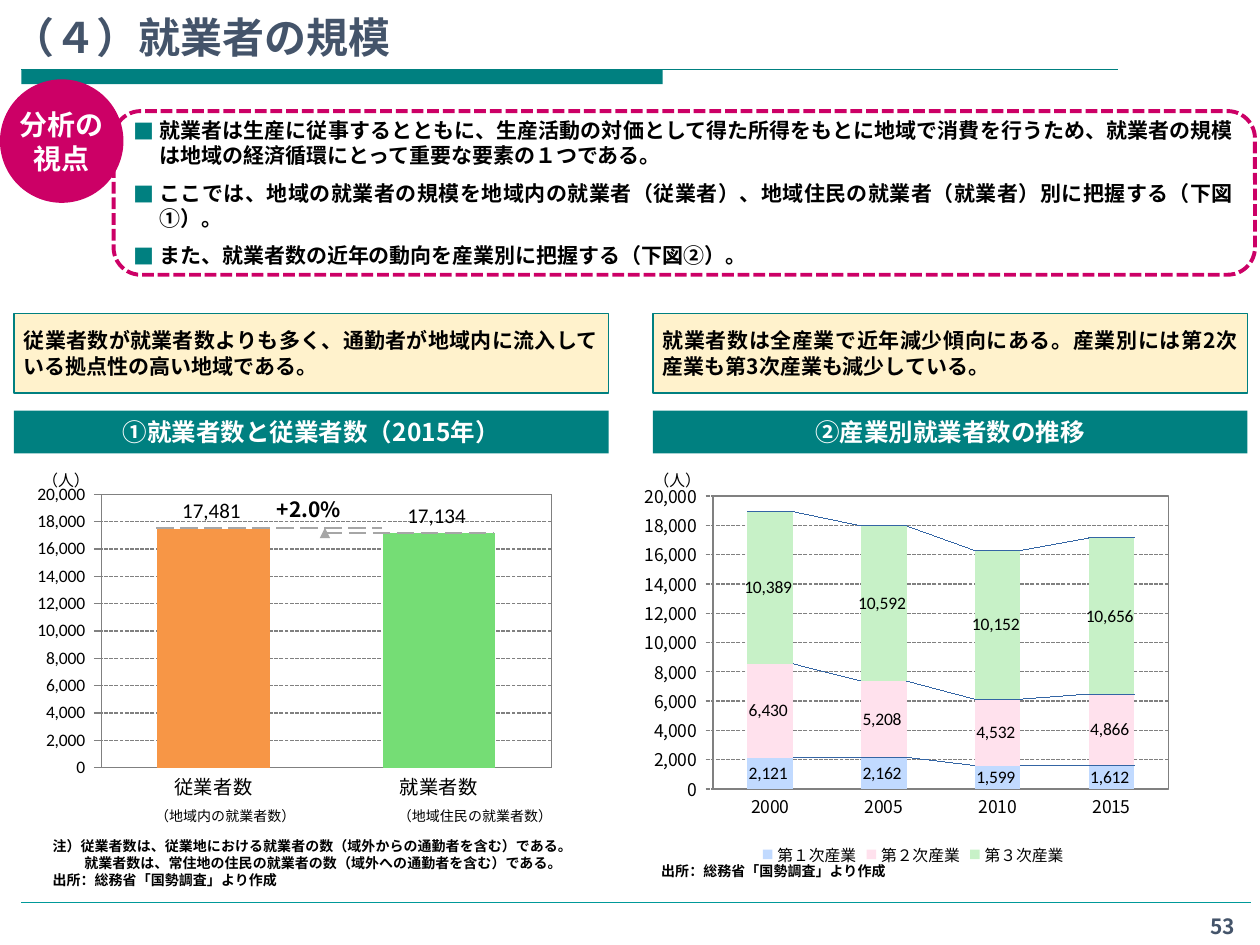
from dataclasses import dataclass
from typing import NamedTuple, Optional

from lxml.etree import SubElement, fromstring
from pptx import Presentation
from pptx.chart.data import CategoryChartData
from pptx.dml.color import RGBColor
from pptx.enum.chart import XL_CHART_TYPE, XL_LABEL_POSITION, XL_LEGEND_POSITION, XL_TICK_MARK
from pptx.enum.dml import MSO_LINE
from pptx.enum.shapes import MSO_CONNECTOR, MSO_SHAPE
from pptx.enum.text import MSO_ANCHOR, PP_ALIGN
from pptx.oxml.ns import nsdecls, qn
from pptx.util import Cm, Pt


@dataclass(frozen=True)
class Theme:
    font: str = "Noto Sans CJK JP"
    digits: str = "Calibri"
    teal: str = "008080"
    footer: str = "009999"
    magenta: str = "CC0066"
    cream: str = "FFF2CC"
    heading: str = "44546A"
    ink: str = "000000"
    white: str = "FFFFFF"
    axis: str = "808080"
    guide: str = "A6A6A6"
    link: str = "3465A4"
    title: float = 24
    badge: float = 16
    panel: float = 14
    body: float = 12
    category: float = 11
    chart: float = 10
    unit: float = 9
    note: float = 8


THEME = Theme()
NUMBER = r"#,##0_);\(#,##0\)"


class Box(NamedTuple):
    left: float
    top: float
    width: float
    height: float

    def cm(self):
        return [Cm(length) for length in self]


class Style(NamedTuple):
    size: float
    color: str = THEME.ink
    bold: bool = True
    align: PP_ALIGN = PP_ALIGN.LEFT
    anchor: MSO_ANCHOR = MSO_ANCHOR.TOP


class Panel(NamedTuple):
    left: float
    comment: str
    heading: str


class Series(NamedTuple):
    name: str
    values: tuple
    color: str


def rgb(color: str) -> RGBColor:
    return RGBColor.from_string(color)


def set_font(font, size: float, color: str = THEME.ink, bold: bool = False, name: str = THEME.font):
    font.size, font.bold, font.name = Pt(size), bold, name
    font.color.rgb = rgb(color)
    SubElement(font._element, qn("a:ea"), typeface=THEME.font)


def set_line(line, color: str, width: float, dash: Optional[MSO_LINE] = None):
    line.color.rgb = rgb(color)
    line.width = Pt(width)
    if dash:
        line.dash_style = dash


def write(shape, lines: list, style: Style, margin_x: float = 0.25) -> list:
    """Fill the shape with one paragraph per line and return the paragraphs."""
    frame = shape.text_frame
    frame.word_wrap = True
    frame.vertical_anchor = style.anchor
    frame.margin_left = frame.margin_right = Cm(margin_x)
    paragraphs = [frame.paragraphs[0]] + [frame.add_paragraph() for _ in lines[1:]]
    for paragraph, line in zip(paragraphs, lines):
        paragraph.alignment = style.align
        run = paragraph.add_run()
        run.text = line
        set_font(run.font, style.size, style.color, style.bold)
    return paragraphs


def add_label(slide, box: Box, lines: list, style: Style) -> list:
    return write(slide.shapes.add_textbox(*box.cm()), lines, style)


def add_block(slide, kind: MSO_SHAPE, box: Box, fill: Optional[str] = None):
    block = slide.shapes.add_shape(kind, *box.cm())
    block.shadow.inherit = False
    block.line.fill.background()
    if fill:
        block.fill.solid()
        block.fill.fore_color.rgb = rgb(fill)
    else:
        block.fill.background()
    return block


def add_rule(slide, x1, y1, x2, y2, color: str, width: float = 0.75, dash=None, arrow: bool = False):
    rule = slide.shapes.add_connector(MSO_CONNECTOR.STRAIGHT, Cm(x1), Cm(y1), Cm(x2), Cm(y2))
    set_line(rule.line, color, width, dash)
    if arrow:
        SubElement(rule.line._get_or_add_ln(), qn("a:tailEnd"), type="triangle")
    SubElement(rule._element.spPr, qn("a:effectLst"))


def add_bullet(paragraph):
    properties = paragraph._p.get_or_add_pPr()
    properties.set("marL", str(Cm(0.51)))
    properties.set("indent", str(-Cm(0.51)))
    SubElement(SubElement(properties, qn("a:buClr")), qn("a:srgbClr"), val=THEME.teal)
    SubElement(properties, qn("a:buFont"), typeface=THEME.font)
    SubElement(properties, qn("a:buChar"), char="■")


def set_layout(parent, index: int, **settings):
    """Give a chart part a manual layout, placed as its child at index."""
    for old in parent.findall(qn("c:layout")):
        parent.remove(old)
    layout = fromstring(f'<c:layout {nsdecls("c")}><c:manualLayout/></c:layout>')
    for tag, value in settings.items():
        SubElement(layout[0], qn(f"c:{tag}"), val=str(value))
    parent.insert(index, layout)


def line_xml(tag: str, color: str) -> str:
    return (f'<{tag} {nsdecls("c", "a")}><a:ln w="9525"><a:solidFill><a:srgbClr val="{color}"/>'
            f'</a:solidFill></a:ln></{tag}>')


def add_columns(slide, box: Box, kind: XL_CHART_TYPE, categories: list, series: list,
                gap: int, category_size: float, label_size: float, scale_font: str, scale_dash=None):
    data = CategoryChartData(number_format=NUMBER)
    data.categories = categories
    for entry in series:
        data.add_series(entry.name, entry.values)
    chart = slide.shapes.add_chart(kind, *box.cm(), data).chart
    chart.has_title = chart.has_legend = False
    set_font(chart.font, THEME.chart, name=THEME.digits)

    plot = chart.plots[0]
    plot.gap_width, plot.vary_by_categories = gap, False
    for entry, drawn in zip(series, plot.series):
        drawn.format.fill.solid()
        drawn.format.fill.fore_color.rgb = rgb(entry.color)
        labels = drawn.data_labels
        labels.show_value = True
        labels.number_format, labels.number_format_is_linked = NUMBER, False
        set_font(labels.font, label_size, name=THEME.digits)

    names, scale = chart.category_axis, chart.value_axis
    names.major_tick_mark = names.minor_tick_mark = scale.minor_tick_mark = XL_TICK_MARK.NONE
    scale.major_tick_mark = XL_TICK_MARK.OUTSIDE
    scale.minimum_scale, scale.maximum_scale, scale.major_unit = 0, 20000, 2000
    scale.tick_labels.number_format, scale.tick_labels.number_format_is_linked = NUMBER, False
    set_font(names.tick_labels.font, category_size)
    set_font(scale.tick_labels.font, THEME.chart, name=scale_font)
    set_line(names.format.line, THEME.axis, 0.75)
    set_line(scale.format.line, THEME.axis, 0.75, scale_dash)
    set_line(scale.major_gridlines.format.line, THEME.axis, 0.75, MSO_LINE.SQUARE_DOT)

    unit = scale.axis_title.text_frame
    unit_run = unit.paragraphs[0].add_run()
    unit_run.text = "（人）"
    set_font(unit_run.font, THEME.unit)
    unit._txBody.bodyPr.set("rot", "0")
    unit._txBody.bodyPr.set("vert", "horz")
    set_layout(scale.axis_title._element, 1, xMode="edge", yMode="edge", x=0.02, y=0.02)

    area = chart._chartSpace.chart.plotArea
    set_layout(area, 0, layoutTarget="inner", xMode="edge", yMode="edge", x=0.134, y=0.099, w=0.833, h=0.705)
    area.append(fromstring(line_xml("c:spPr", THEME.axis)))
    return chart


def add_workers_chart(slide):
    chart = add_columns(slide, Box(0.58, 9.19, 10.9, 7.82), XL_CHART_TYPE.COLUMN_CLUSTERED,
                        ["従業者数", "就業者数"], [Series("Series 1", (17481, 17134), "4F81BD")],
                        100, THEME.category, THEME.body, THEME.digits)
    workers = chart.plots[0].series[0]
    workers.data_labels.position = XL_LABEL_POSITION.OUTSIDE_END
    for index, color in enumerate(("F79646", "75DD75")):
        fill = workers.points[index].format.fill
        fill.solid()
        fill.fore_color.rgb = rgb(color)


def add_industry_chart(slide):
    industries = [Series("第１次産業", (2121, 2162, 1599, 1612), "C1DAFF"),
                  Series("第２次産業", (6430, 5208, 4532, 4866), "FFE1ED"),
                  Series("第３次産業", (10389, 10592, 10152, 10656), "C7F1C7")]
    chart = add_columns(slide, Box(12.9, 9.17, 11.02, 8.38), XL_CHART_TYPE.COLUMN_STACKED,
                        ["2000", "2005", "2010", "2015"], industries,
                        150, THEME.chart, THEME.chart, THEME.font, MSO_LINE.SQUARE_DOT)
    chart.plots[0].overlap = 100
    chart.has_legend = True
    chart.legend.position, chart.legend.include_in_layout = XL_LEGEND_POSITION.BOTTOM, False
    set_font(chart.legend.font, THEME.unit)
    series_lines = fromstring(f'<c:serLines {nsdecls("c")}/>')
    series_lines.append(fromstring(line_xml("c:spPr", THEME.link)))
    chart.plots[0]._element.find(qn("c:axId")).addprevious(series_lines)


def add_viewpoint(slide):
    frame = add_block(slide, MSO_SHAPE.ROUNDED_RECTANGLE, Box(2.29, 2.24, 23.01, 3.3))
    set_line(frame.line, THEME.magenta, 2.25, MSO_LINE.SQUARE_DOT)
    points = write(frame, [
        "就業者は生産に従事するとともに、生産活動の対価として得た所得をもとに地域で消費を行うため、就業者の規模は地域の経済循環にとって重要な要素の１つである。",
        "ここでは、地域の就業者の規模を地域内の就業者（従業者）、地域住民の就業者（就業者）別に把握する（下図①）。",
        "また、就業者数の近年の動向を産業別に把握する（下図②）。",
    ], Style(THEME.body, align=PP_ALIGN.JUSTIFY, anchor=MSO_ANCHOR.MIDDLE))
    for index, point in enumerate(points):
        add_bullet(point)
        point.space_before, point.space_after = Pt(3 if index else 0), Pt(4)
    badge = add_block(slide, MSO_SHAPE.OVAL, Box(0, 1.6, 2.49, 2.49), THEME.magenta)
    write(badge, ["分析の", "視点"],
          Style(THEME.badge, THEME.white, align=PP_ALIGN.CENTER, anchor=MSO_ANCHOR.MIDDLE), 0.1)
    badge.text_frame.word_wrap = False


def add_panel(slide, panel: Panel):
    comment = add_block(slide, MSO_SHAPE.RECTANGLE, Box(panel.left, 6.32, 11.99, 1.6), THEME.cream)
    set_line(comment.line, THEME.teal, 1)
    write(comment, [panel.comment], Style(THEME.body, align=PP_ALIGN.JUSTIFY, anchor=MSO_ANCHOR.MIDDLE), 0.2)
    heading = add_block(slide, MSO_SHAPE.RECTANGLE, Box(panel.left, 8.28, 11.99, 0.86), THEME.teal)
    write(heading, [panel.heading], Style(THEME.panel, THEME.white, align=PP_ALIGN.CENTER))


def main():
    deck = Presentation()
    deck.slide_width, deck.slide_height = Cm(25.4), Cm(19.05)
    slide = deck.slides.add_slide(deck.slide_layouts[6])

    add_block(slide, MSO_SHAPE.RECTANGLE, Box(0.43, 1.4, 12.93, 0.3), THEME.teal)
    add_rule(slide, 0.43, 1.4, 22.53, 1.4, THEME.teal)
    add_rule(slide, 0.43, 18.19, 25.22, 18.19, THEME.footer)
    add_label(slide, Box(0, 0, 22.07, 1.37), ["（４）就業者の規模"],
              Style(THEME.title, THEME.heading, anchor=MSO_ANCHOR.BOTTOM))

    add_industry_chart(slide)
    add_workers_chart(slide)
    for panel in (
        Panel(0.28, "従業者数が就業者数よりも多く、通勤者が地域内に流入している拠点性の高い地域である。",
              "①就業者数と従業者数（2015年）"),
        Panel(13.16, "就業者数は全産業で近年減少傾向にある。産業別には第2次産業も第3次産業も減少している。",
              "②産業別就業者数の推移"),
    ):
        add_panel(slide, panel)

    source = "出所：総務省「国勢調査」より作成"
    notes = add_label(slide, Box(0.81, 16.76, 11.51, 1.27), [
        "注）従業者数は、従業地における就業者の数（域外からの通勤者を含む）である。",
        "就業者数は、常住地の住民の就業者の数（域外への通勤者を含む）である。",
        source,
    ], Style(THEME.note))
    notes[1]._p.get_or_add_pPr().set("marL", str(Cm(0.64)))
    add_label(slide, Box(13.08, 17.27, 8.99, 0.61), [source], Style(THEME.note))
    for left, width, scope in ((2.79, 3.51, "（地域内の就業者数）"), (7.75, 3.66, "（地域住民の就業者数）")):
        add_label(slide, Box(left, 16.15, width, 0.61), [scope],
                  Style(THEME.note, bold=False, align=PP_ALIGN.CENTER))

    add_rule(slide, 3.15, 10.64, 7.7, 10.64, THEME.guide, 1.25, MSO_LINE.LONG_DASH)
    add_label(slide, Box(5.33, 9.88, 2.46, 0.76), ["+2.0%"], Style(THEME.body))
    add_rule(slide, 6.55, 10.74, 9.96, 10.74, THEME.guide, 1.25, MSO_LINE.LONG_DASH)
    add_rule(slide, 6.55, 10.74, 6.55, 10.64, THEME.guide, 1, arrow=True)
    add_label(slide, Box(23.9, 18.29, 1.5, 0.71), ["53"],
              Style(THEME.body, THEME.heading, align=PP_ALIGN.CENTER))
    add_viewpoint(slide)
    deck.save("out.pptx")


if __name__ == "__main__":
    main()
